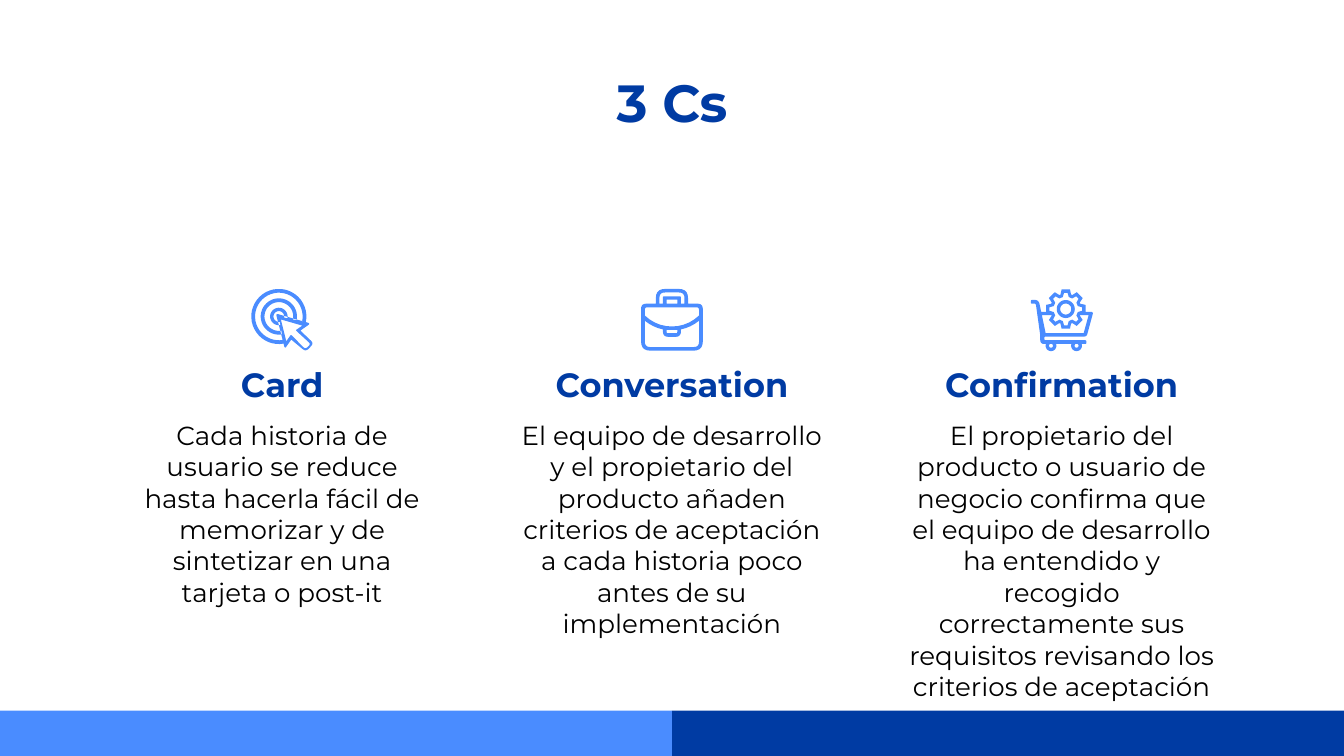
from dataclasses import dataclass
from math import atan2, cos, degrees, hypot, radians, sin

from pptx import Presentation
from pptx.dml.color import RGBColor
from pptx.enum.shapes import MSO_SHAPE
from pptx.enum.text import MSO_ANCHOR, PP_ALIGN
from pptx.util import Inches, Pt

RECTANGLE = MSO_SHAPE.RECTANGLE
CENTER = PP_ALIGN.CENTER
TOP = MSO_ANCHOR.TOP

COLORS = {"navy": "003BA3", "sky": "4A8CFF", "text": "000000", "page": "FFFFFF"}
FONT = "Montserrat"

# Slide (16:9) and column grid, in inches
WIDTH = 10
HEIGHT = WIDTH * 9 / 16
FOOTER = 0.06 * HEIGHT
TITLE_WIDTH, COLUMN_STEP, COLUMN_WIDTH = 8.43, 2.9, 2.47
ICON_TOP, ICON_SIZE = 2.15, 0.46
HEADING_TOP, BODY_TOP = 2.61, 3.02

Contour = list[tuple[float, float]]


@dataclass
class TextStyle:
    size: int
    color: str
    bold: bool = False
    space_after: int = 0


@dataclass
class Column:
    heading: str
    body: str
    icon: list[list[Contour]]  # one list of contours per shape


TITLE = TextStyle(28, "navy", bold=True)
HEADING = TextStyle(18, "navy", bold=True, space_after=16)
BODY = TextStyle(14, "text", space_after=16)


# Contours: icon units are hundredths of an inch, angles run clockwise
def arc(x: float, y: float, radius: float, start: float, end: float) -> Contour:
    steps = max(4, int(abs(end - start) / 8))
    angles = [radians(start + (end - start) * i / steps) for i in range(steps + 1)]
    return [(x + radius * cos(a), y + radius * sin(a)) for a in angles]


def circle(x: float, y: float, radius: float) -> Contour:
    return arc(x, y, radius, 0, 360)


def band(x: float, y: float, outer: float, inner: float, start: float, end: float) -> Contour:
    return arc(x, y, outer, start, end) + arc(x, y, inner, end, start)


def rounded(*corners: tuple[float, ...]) -> Contour:
    """Polygon whose corners are (x, y) or (x, y, cut length)."""
    points: Contour = []
    for i, (x, y, *cut) in enumerate(corners):
        if not cut:
            points.append((x, y))
            continue
        ends = []
        for near in (corners[i - 1], corners[(i + 1) % len(corners)]):
            share = cut[0] / hypot(near[0] - x, near[1] - y)
            ends.append((x + share * (near[0] - x), y + share * (near[1] - y)))
        (ax, ay), (bx, by) = ends
        for t in (0, 0.2, 0.4, 0.6, 0.8, 1):
            a, c, b = (1 - t) ** 2, 2 * t * (1 - t), t * t
            points.append((a * ax + c * x + b * bx, a * ay + c * y + b * by))
    return points


def gear(x: float, y: float, tip: float, root: float, tip_half: float, root_half: float) -> Contour:
    points: Contour = []
    for middle in range(0, 360, 45):
        for radius, turn in ((root, -root_half), (tip, -tip_half), (tip, tip_half), (root, root_half)):
            angle = radians(middle + turn)
            points.append((x + radius * cos(angle), y + radius * sin(angle)))
    return points


def target_icon() -> list[list[Contour]]:
    middle = 20.5
    rings = [band(middle, middle, outer, inner, 80, 372)
             for outer, inner in ((20.5, 17.7), (13.5, 10.7), (6.5, 4))]
    cursor = rounded((18.3, 18.3, 2), (44, 25.7, 2), (36.5, 31), (46.5, 40.5, 3),
                     (40.5, 46.7, 3), (29.7, 37.7), (25, 44.5, 2))
    cursor_hole = rounded((22, 22.7), (38, 27.3), (33, 30.7, 1), (44.2, 41, 2),
                          (40.2, 44.8, 2), (29.5, 34, 1), (26, 39))
    return [rings + [cursor, cursor_hole]]


def briefcase_icon() -> list[list[Contour]]:
    x, y = 23, -1  # centre of the flap curve

    def curve(radius: float, start_x: float, end_x: float) -> Contour:
        start, end = (degrees(atan2((radius ** 2 - (px - x) ** 2) ** 0.5, px - x))
                      for px in (start_x, end_x))
        return arc(x, y, radius, start, end)

    case = rounded((11, 0, 7), (35, 0, 7), (35, 11), (46, 11, 4), (46, 46, 7),
                   (0, 46, 7), (0, 11, 4), (11, 11))
    handle = rounded((13.7, 2.7, 4), (32.3, 2.7, 4), (32.3, 11), (29.7, 11),
                     (29.7, 5.5, 1), (16.3, 5.5, 1), (16.3, 11), (13.7, 11))
    window = rounded((19, 8), (27, 8), (27, 11), (19, 11))
    flap = rounded((2.8, 20), (2.8, 13.7, 2), (43.2, 13.7, 2), (43.2, 20)) + curve(29, 43, 3)
    lock = rounded((16.3, 30), (16.3, 35.7, 4), (29.7, 35.7, 4), (29.7, 30))
    body = rounded((43.2, 24), (43.2, 43.3, 4), (2.8, 43.3, 4), (2.8, 24))
    body += curve(31.9, 3, 16) + lock + curve(31.9, 30, 43)
    clasp = rounded((19, 30.5), (27, 30.5), (27, 33, 1), (19, 33, 1))
    return [[case, handle, window, flap, body, clasp]]


def cart_icon() -> list[list[Contour]]:
    x, y = 26, 15  # gear centre
    gear_ring = [gear(x, y, 15, 11.5, 12, 20), gear(x, y, 12.2, 9.2, 6, 14)]
    hub = [circle(x, y, 6.7), circle(x, y, 4.1)]
    rim = [(14.7, 2), (14.7, 3.1), (10.8, 3.9), (10.8, 4.5)]  # offsets from the gear centre
    basket = rounded(
        (0, 8.2, 1), (5.8, 8.2, 3), (7.7, 17), *[(x - dx, y + dy) for dx, dy in rim],
        (8.2, 19.5), (11, 32.9), (39.3, 32.9), (43, 19.5),
        *[(x + dx, y + dy) for dx, dy in reversed(rim)],
        (46.5, 17, 2), (41.5, 35.5, 2), (10, 35.5, 1), (10, 38.2, 1),
        (41.3, 38.2, 1), (41.3, 41, 1), (7, 41, 3), (7, 34.5, 2), (3.7, 11, 1), (0, 11, 1))
    wheels = [contour for wheel in (15, 34)
              for contour in (arc(wheel, 42.3, 4, -19, 199), circle(wheel, 42.3, 1.5))]
    return [gear_ring + [basket] + wheels, hub]


COLUMNS = [
    Column("Card", "Cada historia de usuario se reduce hasta hacerla fácil de memorizar y de "
           "sintetizar en una tarjeta o post-it", target_icon()),
    Column("Conversation", "El equipo de desarrollo y el propietario del producto añaden criterios "
           "de aceptación a cada historia poco antes de su implementación", briefcase_icon()),
    Column("Confirmation", "El propietario del producto o usuario de negocio confirma que el equipo "
           "de desarrollo ha entendido y recogido correctamente sus requisitos revisando los "
           "criterios de aceptación", cart_icon()),
]


def paint(shape, color: str) -> None:
    shape.shadow.inherit = False
    shape.fill.solid()
    shape.fill.fore_color.rgb = RGBColor.from_string(COLORS[color])
    shape.line.fill.background()


def add_bar(page, left: float, color: str) -> None:
    bar = page.shapes.add_shape(RECTANGLE, Inches(left), Inches(HEIGHT - FOOTER),
                                Inches(WIDTH / 2), Inches(FOOTER))
    paint(bar, color)


def add_text(page, text: str, center: float, top: float, width: float, height: float,
             style: TextStyle) -> None:
    box = page.shapes.add_textbox(Inches(center - width / 2), Inches(top),
                                  Inches(width), Inches(height))
    frame = box.text_frame
    frame.word_wrap = True
    frame.vertical_anchor = TOP
    frame.margin_left = frame.margin_right = frame.margin_top = frame.margin_bottom = Inches(0.1)
    frame.text = text
    para = frame.paragraphs[0]
    para.alignment = CENTER
    para.space_after = Pt(style.space_after)
    font = para.runs[0].font
    font.name, font.size, font.bold = FONT, Pt(style.size), style.bold
    font.color.rgb = RGBColor.from_string(COLORS[style.color])


def add_icon(page, icon: list[list[Contour]], left: float, top: float) -> None:
    detail = 100  # steps per icon unit
    for contours in icon:
        builder = None
        for contour in contours:
            start, *rest = [(px * detail, py * detail) for px, py in contour]
            if builder is None:
                builder = page.shapes.build_freeform(*start, scale=Inches(0.01) / detail)
            else:
                builder.move_to(*start)
            builder.add_line_segments(rest, close=True)
        paint(builder.convert_to_shape(Inches(left), Inches(top)), "sky")


def main() -> None:
    deck = Presentation()
    deck.slide_width, deck.slide_height = Inches(WIDTH), Inches(HEIGHT)
    page = deck.slides.add_slide(deck.slide_layouts[6])
    page.background.fill.solid()
    page.background.fill.fore_color.rgb = RGBColor.from_string(COLORS["page"])

    # Footer and title
    add_bar(page, WIDTH / 2, "navy")
    add_bar(page, 0, "sky")
    add_text(page, "3 Cs", WIDTH / 2, 0.42, TITLE_WIDTH, 0.63, TITLE)

    # Three columns around the middle of the slide
    for i, column in enumerate(COLUMNS):
        center = WIDTH / 2 + (i - 1) * COLUMN_STEP
        add_text(page, column.heading, center, HEADING_TOP, COLUMN_WIDTH, 0.45, HEADING)
        add_text(page, column.body, center, BODY_TOP, COLUMN_WIDTH, 0.79, BODY)
        add_icon(page, column.icon, center - ICON_SIZE / 2, ICON_TOP)

    deck.save("out.pptx")


if __name__ == "__main__":
    main()
